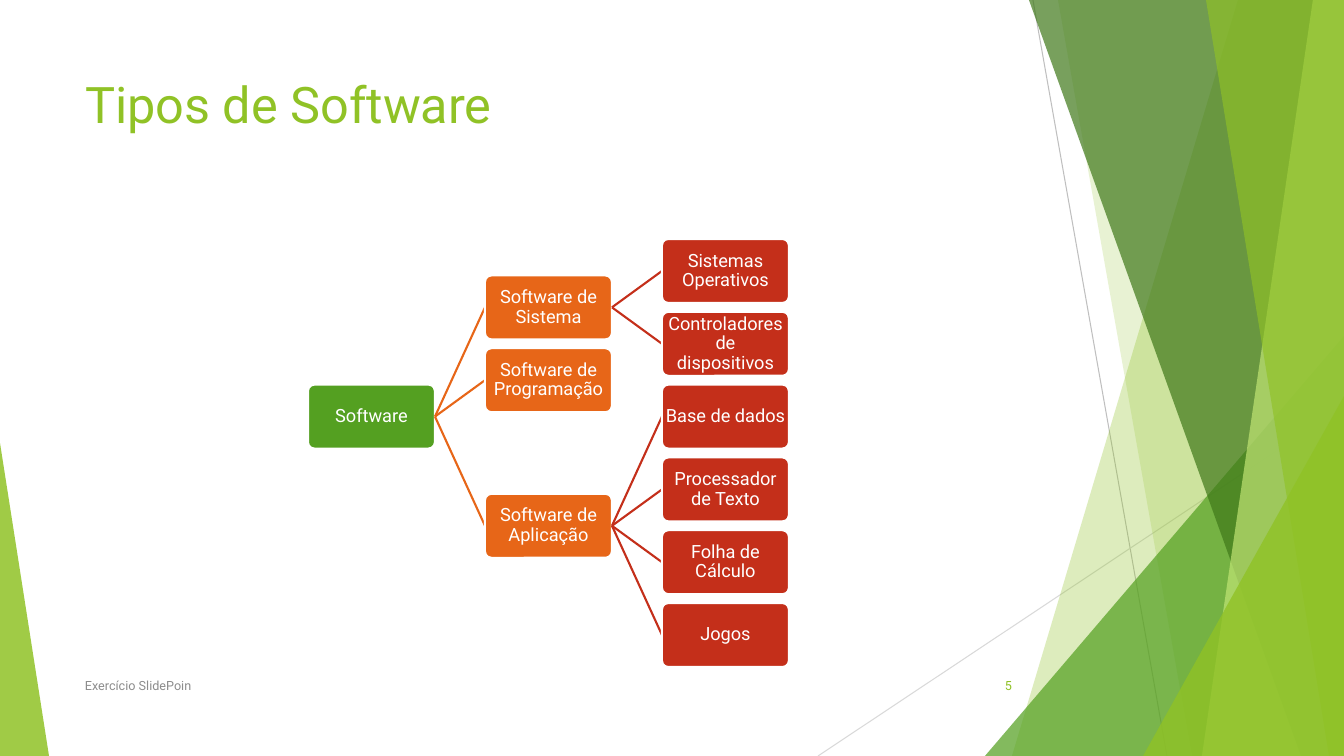
import pptx
import pptx.util
import pptx.dml.color
import pptx.enum.shapes
import pptx.enum.text
import pptx.oxml
import pptx.oxml.ns

HUES = {
    "lime": "90C226", "green": "54A021", "dark": "3F7819", "pale": "C0E474",
    "orange": "E76618", "red": "C42F1A", "white": "FFFFFF", "grey": "8C8C8C",
    "rule": "BFBFBF", "light": "D9D9D9",
}
FONT = "Roboto"
TITLE = "Tipos de Software"
FOOTER = "Exercício SlidePoin"
NUMBER = "5"

NODES = [
    ("Software", None, 0, 2),
    ("Software de Sistema", "Software", 1, 0.5),
    ("Sistemas Operativos", "Software de Sistema", 2, 0),
    ("Controladores de dispositivos", "Software de Sistema", 2, 1),
    ("Software de Programação", "Software", 1, 1.5),
    ("Software de Aplicação", "Software", 1, 3.5),
    ("Base de dados", "Software de Aplicação", 2, 2),
    ("Processador de Texto", "Software de Aplicação", 2, 3),
    ("Folha de Cálculo", "Software de Aplicação", 2, 4),
    ("Jogos", "Software de Aplicação", 2, 5),
]
LEVELS = ["green", "orange", "red"]
LEFT, TOP, LAST = 308, 239, 603
BOXW, BOXH, STEP = 127, 64, 177
PITCH = (LAST - TOP) / 5

RULES = [(1033, 0, 1167, 756, "rule"), (1344, 406, 818, 756, "light")]
DECOR = [
    ("lime", 30, [(1238, 0), (1344, 0), (1344, 756), (1012, 756)]),
    ("lime", 20, [(1058, 0), (1344, 0), (1344, 756), (1192, 756)]),
    ("green", 72, (985, 336, 359, 420, 1)),
    ("dark", 70, [(1029, 0), (1344, 0), (1344, 756), (1301, 756)]),
    ("pale", 70, [(1313, 0), (1344, 0), (1344, 756), (1202, 756)]),
    ("lime", 65, [(1206, 0), (1344, 0), (1344, 756), (1329, 756)]),
    ("lime", 80, (1143, 396, 201, 360, 1)),
    ("lime", 85, (0, 443, 49, 313, 0)),
]

SHAPE = pptx.enum.shapes.MSO_SHAPE
ALIGN = pptx.enum.text.PP_ALIGN
ANCHOR = pptx.enum.text.MSO_ANCHOR
SCALE = 914400 / 100.8


def px(size):
    return pptx.util.Emu(round(size * SCALE))


def tint(name):
    return pptx.dml.color.RGBColor.from_string(HUES[name])


def write(shape, text, size, hue, align=ALIGN.LEFT, anchor=ANCHOR.MIDDLE,
          space=1.0, inset=None):
    frame = shape.text_frame
    frame.word_wrap = True
    frame.auto_size = pptx.enum.text.MSO_AUTO_SIZE.NONE
    frame.vertical_anchor = anchor
    if inset is not None:
        frame.margin_left = frame.margin_right = px(inset)
        frame.margin_top = frame.margin_bottom = px(inset)
    frame.text = text
    para = frame.paragraphs[0]
    para.alignment = align
    para.line_spacing = space
    font = para.runs[0].font
    font.name = FONT
    font.size = pptx.util.Pt(size)
    font.color.rgb = tint(hue)


def paint(shape, hue, alpha=100):
    shape.shadow.inherit = False
    shape.fill.solid()
    shape.fill.fore_color.rgb = tint(hue)
    shape.line.fill.background()
    if alpha < 100:
        color = shape.fill._xPr.find(".//" + pptx.oxml.ns.qn("a:srgbClr"))
        color.append(pptx.oxml.parse_xml(
            f'<a:alpha {pptx.oxml.ns.nsdecls("a")} val="{alpha * 1000}"/>'))


def rule(page, ends, hue, width):
    line = page.shapes.add_connector(
        pptx.enum.shapes.MSO_CONNECTOR.STRAIGHT, *map(px, ends))
    line.line.color.rgb = tint(hue)
    line.line.width = pptx.util.Pt(width)
    line._element.spPr.append(pptx.oxml.parse_xml(
        f'<a:effectLst {pptx.oxml.ns.nsdecls("a")}/>'))
    return line


def decorate(page):
    for *ends, hue in RULES:
        rule(page, ends, hue, 0.75)
    for hue, alpha, form in DECOR:
        if isinstance(form, list):
            path = page.shapes.build_freeform(*form[0], scale=SCALE)
            path.add_line_segments(form[1:], close=True)
            shape = path.convert_to_shape()
        else:
            *place, peak = form
            shape = page.shapes.add_shape(
                SHAPE.ISOSCELES_TRIANGLE, *map(px, place))
            shape.adjustments[0] = peak
        paint(shape, hue, alpha)


def grow(page):
    boxes = {}
    for text, parent, level, row in NODES:
        hue = LEVELS[level]
        link = rule(page, (0, 0, 0, 0), hue, 1.5) if parent else None
        box = page.shapes.add_shape(
            SHAPE.ROUNDED_RECTANGLE, px(LEFT + level * STEP),
            px(TOP + row * PITCH), px(BOXW), px(BOXH))
        box.adjustments[0] = 0.1
        paint(box, hue)
        box.line.color.rgb = tint("white")
        box.line.width = pptx.util.Pt(1.5)
        write(box, text, 13, "white", align=ALIGN.CENTER, space=0.9, inset=1)
        boxes[text] = box
        if link:
            link.begin_connect(boxes[parent], 3)
            link.end_connect(box, 1)


def main():
    deck = pptx.Presentation()
    deck.slide_width, deck.slide_height = px(1344), px(756)
    page = deck.slides.add_slide(deck.slide_layouts[5])
    decorate(page)
    title = page.shapes.title
    title.left, title.top, title.width, title.height = map(
        px, (75, 68, 948, 145))
    write(title, TITLE, 36, "lime", anchor=ANCHOR.TOP)
    grow(page)
    foot = page.shapes.add_textbox(px(75), px(666), px(694), px(40))
    write(foot, FOOTER, 9, "grey")
    count = page.shapes.add_textbox(px(947), px(666), px(75), px(40))
    write(count, NUMBER, 9, "lime", align=ALIGN.RIGHT)
    deck.save("out.pptx")


if __name__ == "__main__":
    main()
